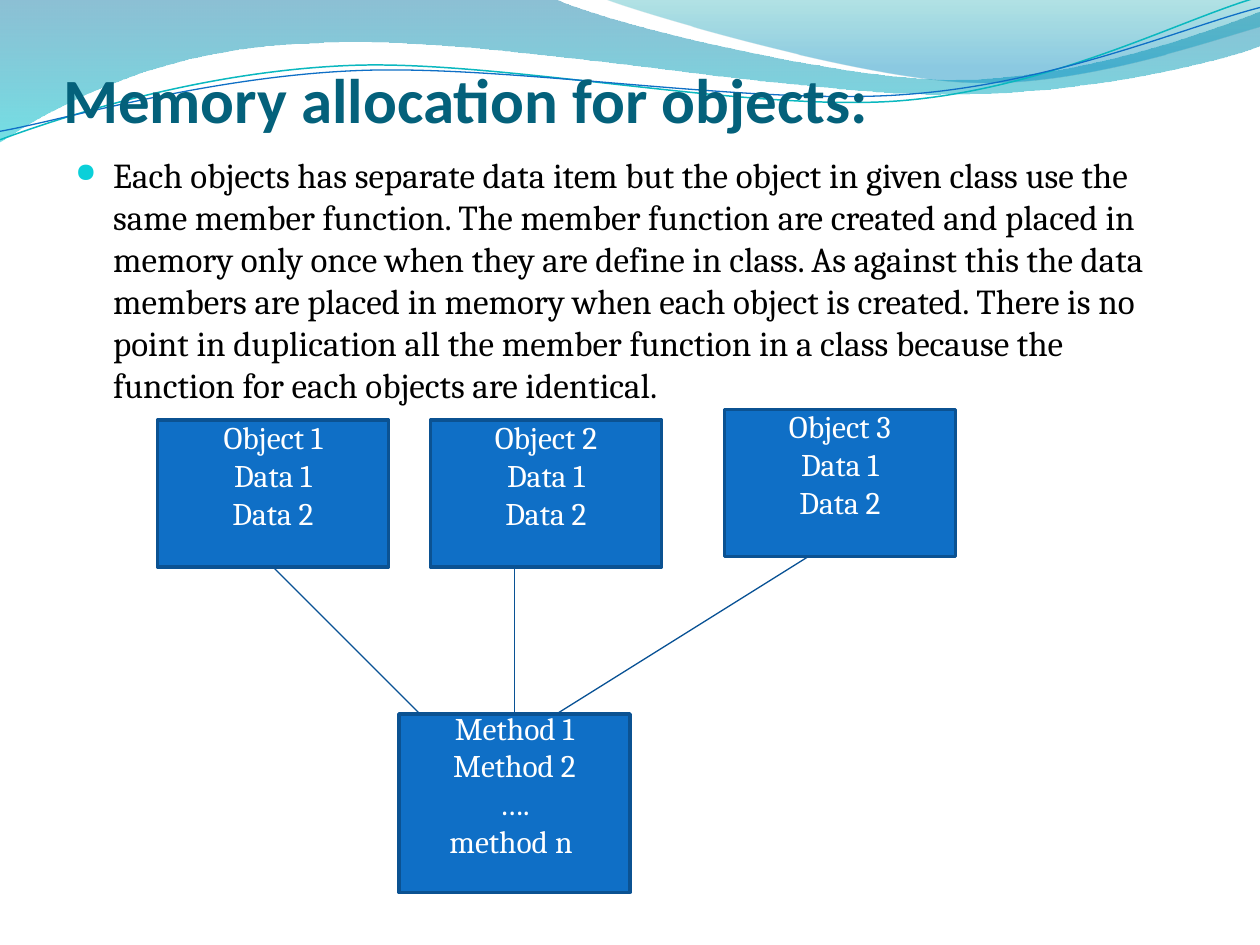
import pptx
import pptx.util
import pptx.dml.color
import pptx.enum.shapes
import pptx.enum.text
import pptx.oxml
import pptx.oxml.ns
from lxml import etree

Pt = pptx.util.Pt
RGBColor = pptx.dml.color.RGBColor
Anchor = pptx.enum.text.MSO_ANCHOR
Align = pptx.enum.text.PP_ALIGN
qn = pptx.oxml.ns.qn

WHITE = RGBColor(0xFF, 0xFF, 0xFF)
BLACK = RGBColor(0, 0, 0)
TITLE_TEAL = RGBColor(0x04, 0x61, 0x7B)
BULLET_CYAN = RGBColor(0x0B, 0xD0, 0xD9)
BLUE = RGBColor(0x0F, 0x6F, 0xC6)
BORDER_BLUE = RGBColor(0x0B, 0x52, 0x92)
LINK_BLUE = RGBColor(0x09, 0x52, 0x95)
WAVE_TEAL = RGBColor(0x0A, 0xB8, 0xBF)
WIDE_TOP = RGBColor(0x00, 0x74, 0xA1)
WIDE_BOTTOM = RGBColor(0x00, 0xC6, 0xCF)
SWOOP_TOP = RGBColor(0x00, 0xA1, 0xA9)
SWOOP_BOTTOM = RGBColor(0x00, 0x8B, 0xBF)

TITLE = "Memory allocation for objects:"
BODY = (
    "Each objects has separate data item but the object in given class use the "
    "same member function. The member function are created and placed in memory "
    "only once when they are define in class. As against this the data members "
    "are placed in memory when each object is created. There is no point in "
    "duplication all the member function in a class because the function for "
    "each objects are identical."
)

WIDE_BAND = [
    [(0, 0)], [(316.8, -0.7)],
    [(342.7, 12.2), (478.1, 45.4), (545.8, 45.4)],
    [(614.2, 45.4), (689.8, 18.7), (720, 6.5)],
    [(720.7, 25.9)],
    [(707.8, 31.7), (626.4, 54.7), (537.1, 54)],
    [(447.8, 54), (275, 20.2), (185, 24.5)],
    [(92.9, 25.9), (33.1, 59.8), (-0.7, 81.4)],
    [(0, 0)],
]
SWOOP_BAND = [
    [(344.9, -0.7)],
    [(366.5, 7.9), (491, 44.6), (553.7, 46.8)],
    [(616.3, 49.7), (691.9, 23), (720, 15.1)],
    [(720, 0)], [(344.9, -0.7)],
]
TEAL_WAVE = [
    [(-1.4, 62.9)],
    [(33.8, 51.7), (114.1, 29.4), (199.8, 29.9)],
    [(284.8, 30.3), (425.8, 67.3), (512.4, 64.9)],
    [(599, 62.4), (676.5, 25.7), (720.2, 15.5)],
]
BLUE_WAVE = [
    [(-1.1, 58)],
    [(32.9, 53.8), (118.3, 32.5), (204.1, 33)],
    [(290.6, 33.4), (428.9, 63.8), (515.5, 61.4)],
    [(601.3, 59.6), (678.4, 30.1), (721.4, 21.3)],
]


class SlideBuilder:
    heading_font = "Calibri"
    text_font = "Cambria"

    def __init__(self, slide):
        self.slide = slide
        self.shapes = slide.shapes

    def style(self, paragraph, name, size, color, bold=False):
        paragraph.font.name = name
        paragraph.font.size = Pt(size)
        paragraph.font.bold = bold
        paragraph.font.color.rgb = color

    def outline(self, segments, close):
        anchors = [(Pt(x), Pt(y)) for x, y in (segment[-1] for segment in segments)]
        builder = self.shapes.build_freeform(*anchors[0])
        builder.add_line_segments(anchors[1:], close=close)
        shape = builder.convert_to_shape()
        shape.shadow.inherit = False
        moves = shape._element.spPr.findall(".//" + qn("a:lnTo"))
        for move, segment in zip(moves, segments[1:]):
            if len(segment) == 3:
                curve = etree.Element(qn("a:cubicBezTo"))
                for x, y in segment:
                    etree.SubElement(curve, qn("a:pt"), x=str(Pt(x) - shape.left),
                                     y=str(Pt(y) - shape.top))
                move.getparent().replace(move, curve)
        return shape

    def band(self, segments, stops):
        shape = self.outline(segments, True)
        shape.line.fill.background()
        shape.fill.gradient()
        shape.fill.gradient_angle = 270
        for stop, (position, color, _) in zip(shape.fill.gradient_stops, stops):
            stop.position = position
            stop.color.rgb = color
        colors = shape._element.spPr.iter(qn("a:srgbClr"))
        for color, (_, _, opacity) in zip(list(colors), stops):
            etree.SubElement(color, qn("a:alpha"), val=str(opacity * 1000))

    def wave(self, segments, color, width):
        shape = self.outline(segments, False)
        shape.rotation = 357.3
        shape.fill.background()
        shape.line.color.rgb = color
        shape.line.width = Pt(width)

    def title(self, text, left, top, width, height):
        shape = self.shapes.title
        self.shapes._spTree.append(shape._element)
        shape.left, shape.top = Pt(left), Pt(top)
        shape.width, shape.height = Pt(width), Pt(height)
        frame = shape.text_frame
        frame.text = text
        frame.word_wrap = True
        frame.auto_size = pptx.enum.text.MSO_AUTO_SIZE.NONE
        frame.vertical_anchor = Anchor.BOTTOM
        frame.margin_left = frame.margin_right = frame.margin_bottom = 0
        paragraph = frame.paragraphs[0]
        paragraph.alignment = Align.LEFT
        self.style(paragraph, self.heading_font, 36, TITLE_TEAL, True)

    def bullet(self, text, left, top, width, height):
        shape = self.shapes.add_textbox(Pt(left), Pt(top), Pt(width), Pt(height))
        frame = shape.text_frame
        frame.word_wrap = True
        frame.text = text
        paragraph = frame.paragraphs[0]
        paragraph.space_before = Pt(4)
        self.style(paragraph, self.text_font, 20, BLACK)
        properties = paragraph._p.get_or_add_pPr()
        properties.set("marL", str(Pt(21.6)))
        properties.set("indent", str(-Pt(21.6)))
        marks = pptx.oxml.parse_xml(
            f'<a:pPr {pptx.oxml.ns.nsdecls("a")}>'
            f'<a:buClr><a:srgbClr val="{BULLET_CYAN}"/></a:buClr>'
            '<a:buSzPct val="76000"/><a:buChar char="●"/></a:pPr>'
        )
        spacing = properties.find(qn("a:spcBef"))
        for mark in reversed(list(marks)):
            spacing.addnext(mark)

    def box(self, lines, left, top, height):
        shape = self.shapes.add_shape(
            pptx.enum.shapes.MSO_SHAPE.RECTANGLE, Pt(left), Pt(top), Pt(132), Pt(height))
        shape.shadow.inherit = False
        shape.fill.solid()
        shape.fill.fore_color.rgb = BLUE
        shape.line.color.rgb = BORDER_BLUE
        shape.line.width = Pt(2)
        frame = shape.text_frame
        frame.text = "\n".join(lines)
        frame.word_wrap = True
        frame.vertical_anchor = Anchor.MIDDLE
        frame.margin_top, frame.margin_bottom = 0, Pt(21.6)
        for paragraph in frame.paragraphs:
            paragraph.alignment = Align.CENTER
            self.style(paragraph, self.text_font, 18, WHITE)

    def link(self, start, end):
        connector = self.shapes.add_connector(
            pptx.enum.shapes.MSO_CONNECTOR.STRAIGHT, *map(Pt, start + end))
        connector.line.color.rgb = LINK_BLUE
        connector.line.width = Pt(0.75)
        etree.SubElement(connector._element.spPr, qn("a:effectLst"))


def main():
    presentation = pptx.Presentation()
    presentation.slide_width, presentation.slide_height = Pt(720), Pt(540)
    builder = SlideBuilder(presentation.slides.add_slide(presentation.slide_layouts[5]))

    builder.band(WIDE_BAND, [(0, WIDE_TOP, 45), (1, WIDE_BOTTOM, 55)])
    builder.band(SWOOP_BAND, [(0, SWOOP_TOP, 30), (0.8, SWOOP_BOTTOM, 45)])
    builder.wave(TEAL_WAVE, WAVE_TEAL, 0.85)
    builder.wave(BLUE_WAVE, BLUE, 0.75)
    builder.title(TITLE, 36, -12, 648, 90)
    builder.bullet(BODY, 36, 84, 648, 346)

    for number, (left, top) in enumerate([(90, 240), (246, 240), (414, 234)], 1):
        builder.box([f"Object {number}", "Data 1", "Data 2"], left, top, 84)
    builder.box(["Method 1", "Method 2", "….", "method n "], 228, 408, 102)

    for start, end_x in [((156, 324), 240), ((294, 324), 294), ((462, 318), 318)]:
        builder.link(start, (end_x, 408))

    presentation.save("out.pptx")


if __name__ == "__main__":
    main()
